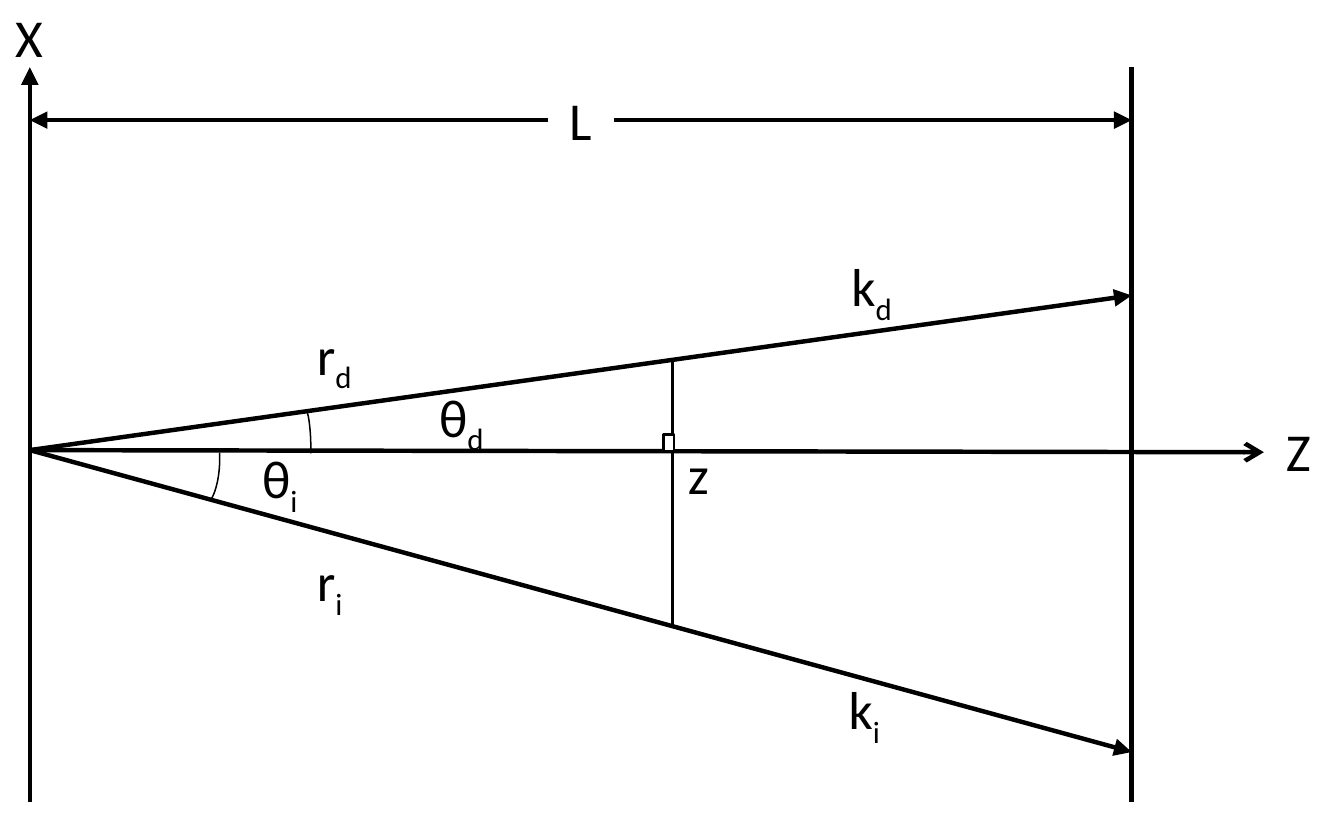
import pptx
import pptx.dml.color
import pptx.enum.shapes
import pptx.enum.text
import pptx.util
from lxml import etree

COLORS = {"ink": "000000", "paper": "FFFFFF"}
FONT = "Calibri"
# Slide size in eighths of a point, about 16 by 10 cm
SLIDE_WIDTH, SLIDE_HEIGHT = 3629, 2268
EIGHTH_POINT = 1587.5
CELL = pptx.util.Inches(0.1)
SHAPE = pptx.enum.shapes.MSO_SHAPE

# Columns and rows measured from the source point of the rays
UP, DOWN = -17.95, 16.5
SCREEN = 51.65
FOOT = 30.15
RAY_ENDS = {"d": -7.25, "i": 14.15}
LABEL_HEIGHT = 4

# base, subscript, left, top, width
LABELS = [
    ("X", "", -1.67, -21.4, 3.3),
    ("Z", "", 57.9, -2, 3.2),
    ("L", "", 24.3, -17.5, 3.1),
    ("z", "", 29.87, -0.9, 3),
    ("θ", "d", 18.2, -3.6, 4.2),
    ("θ", "i", 9.9, -0.7, 3.8),
    ("r", "d", 12.47, -6.5, 3.7),
    ("r", "i", 12.47, 4.13, 3.3),
    ("k", "d", 37.53, -9.7, 4),
    ("k", "i", 37.4, 10.13, 3.5),
]


def cells(*values):
    return [round(v * CELL) for v in values]


def rgb(name):
    return pptx.dml.color.RGBColor.from_string(COLORS[name])


def add_line(s, origin, start, end, width=1.5, arrow=None):
    """Draw a line between two points; arrow names the head at its end."""
    ox, oy = origin
    line = s.shapes.add_connector(
        pptx.enum.shapes.MSO_CONNECTOR.STRAIGHT,
        *cells(ox + start[0], oy + start[1], ox + end[0], oy + end[1]))
    line.line.color.rgb = rgb("ink")
    line.line.width = pptx.util.Pt(width)
    props = line._element.spPr
    if arrow:
        ln = props.find(pptx.oxml.ns.qn("a:ln"))
        etree.SubElement(ln, pptx.oxml.ns.qn("a:tailEnd"), type=arrow)
    etree.SubElement(props, pptx.oxml.ns.qn("a:effectLst"))


def add_outline(s, origin, kind, box, width):
    left, top, w, h = box
    sp = s.shapes.add_shape(
        kind, *cells(origin[0] + left, origin[1] + top, w, h))
    sp.shadow.inherit = False
    sp.fill.background()
    sp.line.color.rgb = rgb("ink")
    sp.line.width = pptx.util.Pt(width)
    return sp


def add_label(s, origin, base, subscript, left, top, width):
    sp = s.shapes.add_textbox(
        *cells(origin[0] + left, origin[1] + top, width, LABEL_HEIGHT))
    tf = sp.text_frame
    tf.word_wrap = False
    tf.auto_size = pptx.enum.text.MSO_AUTO_SIZE.SHAPE_TO_FIT_TEXT
    p = tf.paragraphs[0]
    p.font.name = FONT
    p.font.size = pptx.util.Pt(18)
    p.font.color.rgb = rgb("ink")
    p.add_run().text = base
    if subscript:
        r = p.add_run()
        r.text = subscript
        r.font._element.set("baseline", "-25000")


def draw_axes(s, origin):
    add_line(s, origin, (0, DOWN), (0, UP), arrow="triangle")
    add_line(s, origin, (SCREEN, UP), (SCREEN, DOWN))
    add_line(s, origin, (0, 0), (57.85, 0.1), arrow="arrow")


def draw_span(s, origin):
    """Draw the two halves of the distance L, on either side of its label."""
    row, half_gap = -15.47, 1.55
    middle = SCREEN / 2
    for side, end in ((-1, 0), (1, SCREEN)):
        add_line(s, origin, (middle + side * half_gap, row), (end, row),
                 arrow="triangle")


def draw_rays(s, origin):
    for end in RAY_ENDS.values():
        add_line(s, origin, (0, 0), (SCREEN, end), arrow="triangle")
    add_line(s, origin, *[(FOOT, end * FOOT / SCREEN)
                          for end in RAY_ENDS.values()], width=1)


def draw_angles(s, origin):
    add_outline(s, origin, SHAPE.ARC, (12.68, -1.85, 0.5, 4), 0.5)
    lower = add_outline(s, origin, SHAPE.ARC, (7.1, -1.9, 1.8, 4.6), 0.5)
    for i, degrees in enumerate((342.43, 74.61)):
        lower.adjustments[i] = degrees * 0.6
    square = add_outline(s, origin, SHAPE.RECTANGLE,
                         (FOOT - 0.45, -0.75, 0.5, 0.8), 1)
    square.fill.solid()
    square.fill.fore_color.rgb = rgb("paper")


def draw_diagram(s, origin):
    for draw in (draw_axes, draw_span, draw_rays, draw_angles):
        draw(s, origin)
    for label in LABELS:
        add_label(s, origin, *label)


def main():
    prs = pptx.Presentation()
    prs.slide_width = round(SLIDE_WIDTH * EIGHTH_POINT)
    prs.slide_height = round(SLIDE_HEIGHT * EIGHTH_POINT)
    s = prs.slides.add_slide(prs.slide_layouts[6])
    s.background.fill.solid()
    s.background.fill.fore_color.rgb = rgb("paper")
    draw_diagram(s, (1.4, 21.1))
    prs.save("out.pptx")


if __name__ == "__main__":
    main()
